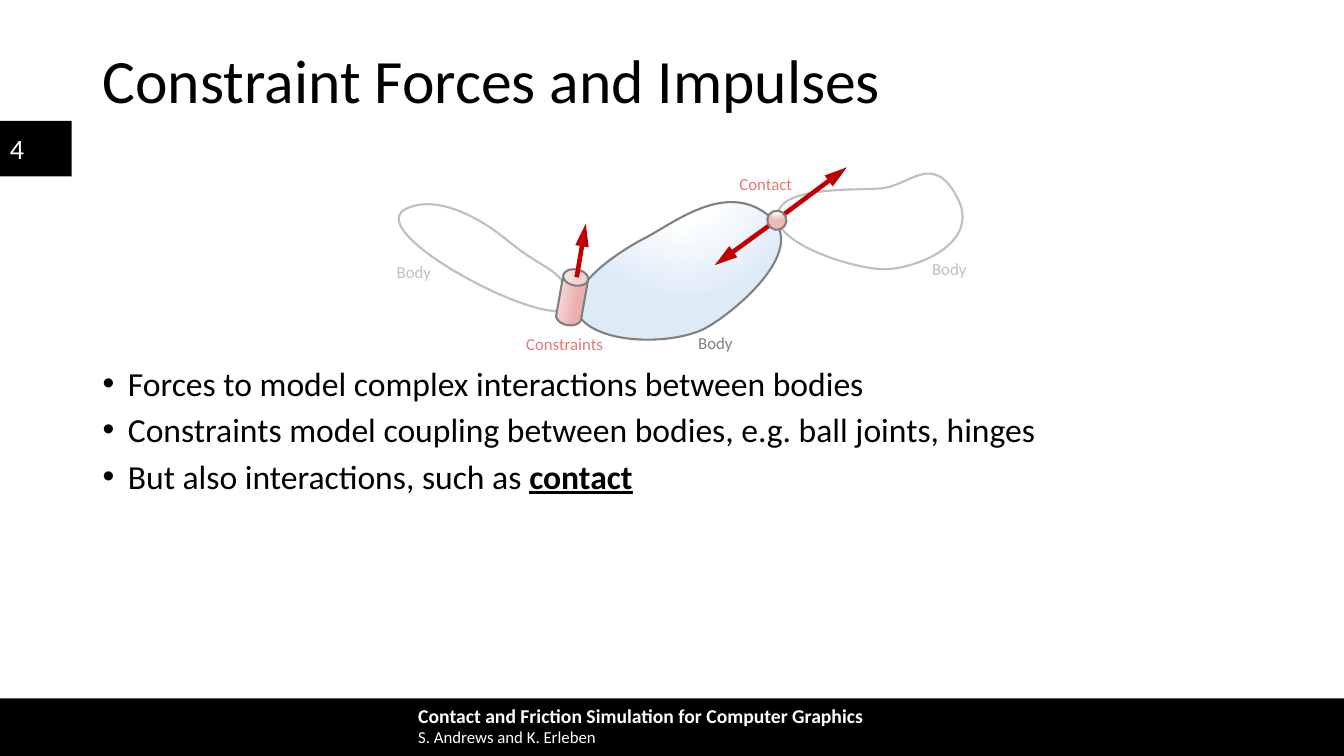
import math

import pptx
import pptx.dml.color
import pptx.enum.shapes
import pptx.enum.text
import pptx.oxml
import pptx.oxml.ns
import pptx.util

Inches = pptx.util.Inches
Pt = pptx.util.Pt
qn = pptx.oxml.ns.qn
RGB = pptx.dml.color.RGBColor.from_string
SHAPES = pptx.enum.shapes.MSO_SHAPE
ALIGN = pptx.enum.text.PP_ALIGN
ANCHOR = pptx.enum.text.MSO_ANCHOR
AUTO_SIZE = pptx.enum.text.MSO_AUTO_SIZE

COLORS = {
    "black": "000000", "white": "FFFFFF", "gray": "808080", "light gray": "BFBFBF",
    "pale blue": "DEEBF7", "red": "C00000", "rose": "E37777", "joint dark": "EBAFAF",
    "joint light": "F6DBDB", "contact pink": "EDB8B8",
}

deck = pptx.Presentation()
deck.slide_width = Inches(13.33)
deck.slide_height = Inches(7.5)
page = deck.slides.add_slide(deck.slide_layouts[6])


def add_text(left, top, width, height, lines, size, color, align=ALIGN.LEFT, anchor=ANCHOR.TOP):
    """Add a wrapped text box with one paragraph per line and return its paragraphs."""
    box = page.shapes.add_textbox(Inches(left), Inches(top), Inches(width), Inches(height))
    frame = box.text_frame
    frame.word_wrap = True
    frame.auto_size = AUTO_SIZE.NONE
    frame.vertical_anchor = anchor
    frame.text = "\n".join(lines)
    for para in frame.paragraphs:
        para.alignment = align
        para.font.name = "Calibri"
        para.font.size = Pt(size)
        para.font.color.rgb = RGB(COLORS[color])
    return frame.paragraphs


def style_shape(shape, line_color, stops=(), radial=True):
    """Outline a shape and fill it with a gradient, or leave it empty without stops."""
    shape.shadow.inherit = False
    shape.line.color.rgb = RGB(COLORS[line_color])
    shape.line.width = Pt(1.5)
    if not stops:
        shape.fill.background()
        return
    shape.fill.gradient()
    shape.fill.gradient_angle = 180
    for stop, (position, color) in zip(shape.fill.gradient_stops, stops):
        stop.position = position
        stop.color.rgb = RGB(COLORS[color])
    if radial:
        linear = shape.element.spPr.find(qn("a:gradFill")).find(qn("a:lin"))
        circle = pptx.oxml.parse_xml(
            f'<a:path {pptx.oxml.ns.nsdecls("a")} path="circle">'
            '<a:fillToRect l="50000" t="-80000" r="50000" b="180000"/></a:path>')
        linear.getparent().replace(linear, circle)


# Footer bar and page number tab
for left, top, width, height in [(0, 6.93, 13.33, 0.57), (0, 1.2, 0.71, 0.55)]:
    bar = page.shapes.add_shape(
        SHAPES.RECTANGLE, Inches(left), Inches(top), Inches(width), Inches(height))
    bar.shadow.inherit = False
    bar.fill.solid()
    bar.fill.fore_color.rgb = RGB(COLORS["black"])
    bar.line.fill.background()

add_text(0, 1.27, 0.54, 0.4, ["4"], 20, "white", anchor=ANCHOR.MIDDLE)
footer = add_text(4.05, 6.93, 8.37, 0.54,
                  ["Contact and Friction Simulation for Computer Graphics"], 14, "white")[0]
footer.runs[0].font.bold = True
footer.add_line_break()
authors = footer.add_run()
authors.text = "S. Andrews and K. Erleben"
authors.font.size = Pt(12)

title = add_text(0.92, 0.4, 11.5, 0.86, ["Constraint Forces and Impulses"], 44, "black",
                 anchor=ANCHOR.MIDDLE)[0]
title.line_spacing = 0.9

# Bullets
bullets = add_text(0.92, 3.63, 11.5, 1.39, [
    "Forces to model complex interactions between bodies",
    "Constraints model coupling between bodies, e.g. ball joints, hinges",
    "But also interactions, such as ",
], 24, "black")
for index, para in enumerate(bullets):
    para.line_spacing = 0.8
    para.space_before = Pt(10 if index else 0)
    properties = para._p.get_or_add_pPr()
    properties.set("marL", str(Inches(0.25)))
    properties.set("indent", str(-Inches(0.25)))
    for tag, attributes in [("a:buFont", {"typeface": "Arial"}), ("a:buChar", {"char": "•"})]:
        properties.find(qn("a:defRPr")).addprevious(properties.makeelement(qn(tag), attributes))
span = bullets[-1].add_run()
span.text = "contact"
span.font.bold = True
span.font.underline = True

# Bodies: frame, rotation, start point, then curves of two control points and an end point
bodies = [
    ((5.69, 2.22, 2.16, 1.08), 332.8, (5.76, 3.16), [
        [(5.54, 2.9), (6.1, 2.51), (6.42, 2.35)],
        [(6.73, 2.18), (7.24, 1.78), (7.66, 2.17)],
        [(7.99, 2.5), (7.3, 3.09), (6.99, 3.26)],
        [(6.67, 3.42), (5.98, 3.42), (5.76, 3.16)],
    ], "gray", [(0.25, "white"), (0.77, "pale blue")]),
    ((3.87, 2.25, 1.9, 0.58), 26.1, (4.03, 2.07), [
        [(4.3, 1.94), (4.7, 2.11), (5.04, 2.39)],
        [(5.39, 2.68), (5.56, 2.66), (5.63, 2.91)],
        [(5.78, 3.27), (5.07, 3), (4.67, 2.78)],
        [(4.27, 2.57), (3.76, 2.2), (4.03, 2.07)],
    ], "light gray", []),
    ((7.72, 1.78, 1.83, 0.9), 353.9, (7.71, 2.14), [
        [(7.73, 1.85), (8.43, 1.89), (8.73, 1.87)],
        [(9.03, 1.85), (9.26, 1.48), (9.51, 1.99)],
        [(9.7, 2.42), (9.11, 2.65), (8.81, 2.67)],
        [(8.51, 2.69), (7.68, 2.42), (7.71, 2.14)],
    ], "light gray", []),
]
for (left, top, width, height), rotation, start, curves, line_color, stops in bodies:
    builder = page.shapes.build_freeform(Inches(start[0]), Inches(start[1]))
    builder.add_line_segments(
        [(Inches(x), Inches(y)) for *_, (x, y) in curves], close=True)
    body = builder.convert_to_shape()
    body.left, body.top = Inches(left), Inches(top)
    body.width, body.height = Inches(width), Inches(height)
    body.rotation = rotation

    # Bend the straight segments into curves, with points turned back into the unrotated frame
    outline = next(body.element.iter(qn("a:path")))
    outline.set("w", str(body.width))
    outline.set("h", str(body.height))
    cosine, sine = math.cos(math.radians(rotation)), math.sin(math.radians(rotation))
    for command, points in zip(list(outline), [[start], *curves]):
        curve = outline.makeelement(
            qn("a:moveTo" if len(points) == 1 else "a:cubicBezTo"), {})
        for x, y in points:
            across, down = x - left - width / 2, y - top - height / 2
            curve.append(curve.makeelement(qn("a:pt"), {
                "x": str(Inches(width / 2 + across * cosine + down * sine)),
                "y": str(Inches(height / 2 - across * sine + down * cosine)),
            }))
        outline.replace(command, curve)
    style_shape(body, line_color, stops)

for left, top, width, label, color in [
    (3.8, 2.55, 0.61, "Body", "light gray"),
    (6.74, 3.25, 0.71, "Body", "gray"),
    (9.06, 2.52, 0.71, "Body", "light gray"),
    (7.18, 1.67, 0.83, "Contact", "rose"),
    (5.08, 3.26, 1.04, "Constraints", "rose"),
]:
    add_text(left, top, width, 0.3, [label], 12, color, ALIGN.CENTER)

# Joint below its force arrow, contact point above both of its arrows
joint = page.shapes.add_shape(SHAPES.CAN, Inches(5.55), Inches(2.67), Inches(0.25), Inches(0.56))
joint.adjustments[0] = 0.64
joint.rotation = 10.1
style_shape(joint, "gray", [(0.37, "joint dark"), (0.83, "joint light")], radial=False)

for x1, y1, x2, y2 in [
    (7.69, 2.19, 8.4, 1.66), (5.72, 2.75, 5.81, 2.22), (7.68, 2.2, 7.09, 2.63),
]:
    force = page.shapes.add_connector(
        pptx.enum.shapes.MSO_CONNECTOR.STRAIGHT, Inches(x1), Inches(y1), Inches(x2), Inches(y2))
    force.line.color.rgb = RGB(COLORS["red"])
    force.line.width = Pt(3.25)
    line = force.line._get_or_add_ln()
    line.append(line.makeelement(qn("a:tailEnd"), {"type": "triangle", "len": "lg"}))
    properties = force.element.spPr
    properties.append(properties.makeelement(qn("a:effectLst"), {}))

contact = page.shapes.add_shape(
    SHAPES.OVAL, Inches(7.61), Inches(2.09), Inches(0.19), Inches(0.19))
contact.rotation = 337.9
style_shape(contact, "gray", [(0.26, "white"), (0.74, "contact pink")])

deck.save("out.pptx")
